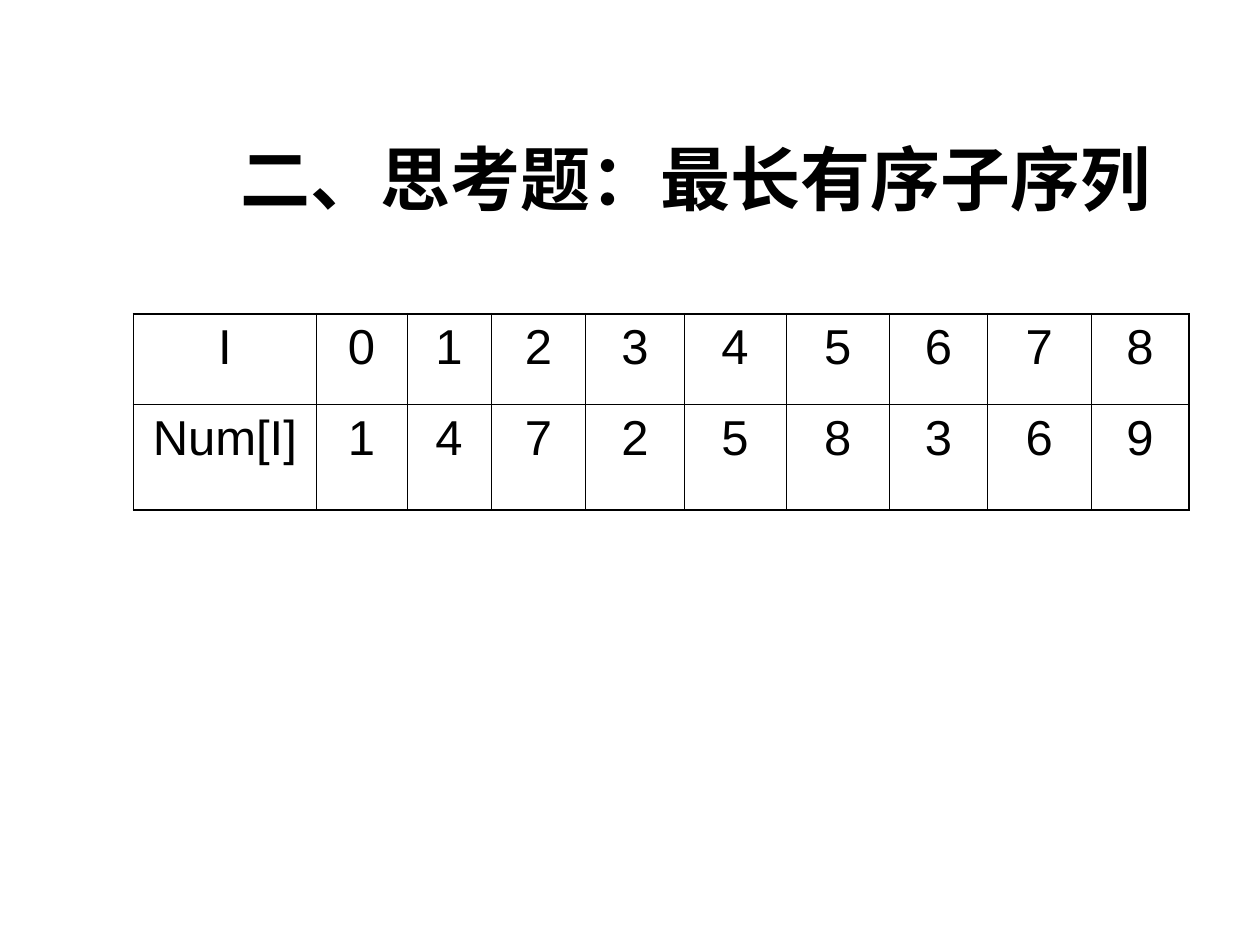
from dataclasses import dataclass

from lxml.etree import SubElement
from pptx import Presentation
from pptx.dml.color import RGBColor as Color
from pptx.enum.text import MSO_ANCHOR as Anchor, PP_ALIGN as Align
from pptx.oxml.ns import qn
from pptx.util import Inches, Pt


@dataclass(frozen=True)
class Theme:
    font: str = "Arial"
    ink: str = "000000"
    title: int = 40
    cell: int = 28
    gap: int = 7
    thin: float = 0.45
    thick: float = 1.08


class Deck:
    def __init__(self, theme, width, height):
        self.theme = theme
        self.prs = Presentation()
        self.prs.slide_width = Inches(width)
        self.prs.slide_height = Inches(height)
        self.slide = self.prs.slides.add_slide(self.prs.slide_layouts[6])

    def across(self, share):
        return round(self.prs.slide_width * share)

    def down(self, share):
        return round(self.prs.slide_height * share)

    def label(self, frame, text, size, bold=False):
        """Set the frame's one centred paragraph and return it."""
        para = frame.paragraphs[0]
        para.text = text
        para.alignment = Align.CENTER
        font = para.font
        font.name, font.size, font.bold = self.theme.font, Pt(size), bold
        font.color.rgb = Color.from_string(self.theme.ink)
        return para

    def title(self, text, left, top, width, height):
        box = self.slide.shapes.add_textbox(
            self.across(left), self.down(top), self.across(width), self.down(height))
        frame = box.text_frame
        frame.word_wrap = True
        frame.vertical_anchor = Anchor.MIDDLE
        self.label(frame, text, self.theme.title, bold=True)

    def border(self, cell, outer):
        """Rule all four sides; outer holds the sides on the table's edge."""
        props = cell._tc.get_or_add_tcPr()
        for side in "LRTB":
            width = self.theme.thick if side in outer else self.theme.thin
            line = SubElement(props, qn(f"a:ln{side}"), w=str(Pt(width)))
            fill = SubElement(line, qn("a:solidFill"))
            SubElement(fill, qn("a:srgbClr"), val=self.theme.ink)

    def table(self, rows, left, top, widths, heights):
        """Draw rows of text; widths and heights are shares of the slide."""
        grid = self.slide.shapes.add_table(
            len(rows), len(widths), self.across(left), self.down(top),
            self.across(sum(widths)), self.down(sum(heights))).table
        grid.first_row = grid.horz_banding = False
        for col, width in zip(grid.columns, widths):
            col.width = self.across(width)
        for row, height in zip(grid.rows, heights):
            row.height = self.down(height)
        for r, row in enumerate(rows):
            for c, text in enumerate(row):
                cell = grid.cell(r, c)
                para = self.label(cell.text_frame, str(text), self.theme.cell)
                para.space_before = Pt(self.theme.gap)
                edges = {"L": c == 0, "R": c == len(row) - 1,
                         "T": r == 0, "B": r == len(rows) - 1}
                self.border(cell, [side for side, edge in edges.items() if edge])
                cell.fill.background()


def main():
    wide, high = 10, 7.5
    deck = Deck(Theme(), wide, high)
    deck.title("二、思考题：最长有序子序列", 1.26 / wide, 0.91 / high, 8.52 / wide, 1 / high)
    nums = [1, 4, 7, 2, 5, 8, 3, 6, 9]
    cols = [1.45, 0.72, 0.67, 0.75, 0.78, 0.81, 0.82, 0.78, 0.82, 0.78]
    deck.table([["I", *range(len(nums))], ["Num[I]", *nums]],
               1.06 / wide, 2.49 / high,
               [col / wide for col in cols], [0.72 / high, 0.84 / high])
    deck.prs.save("out.pptx")


if __name__ == "__main__":
    main()
